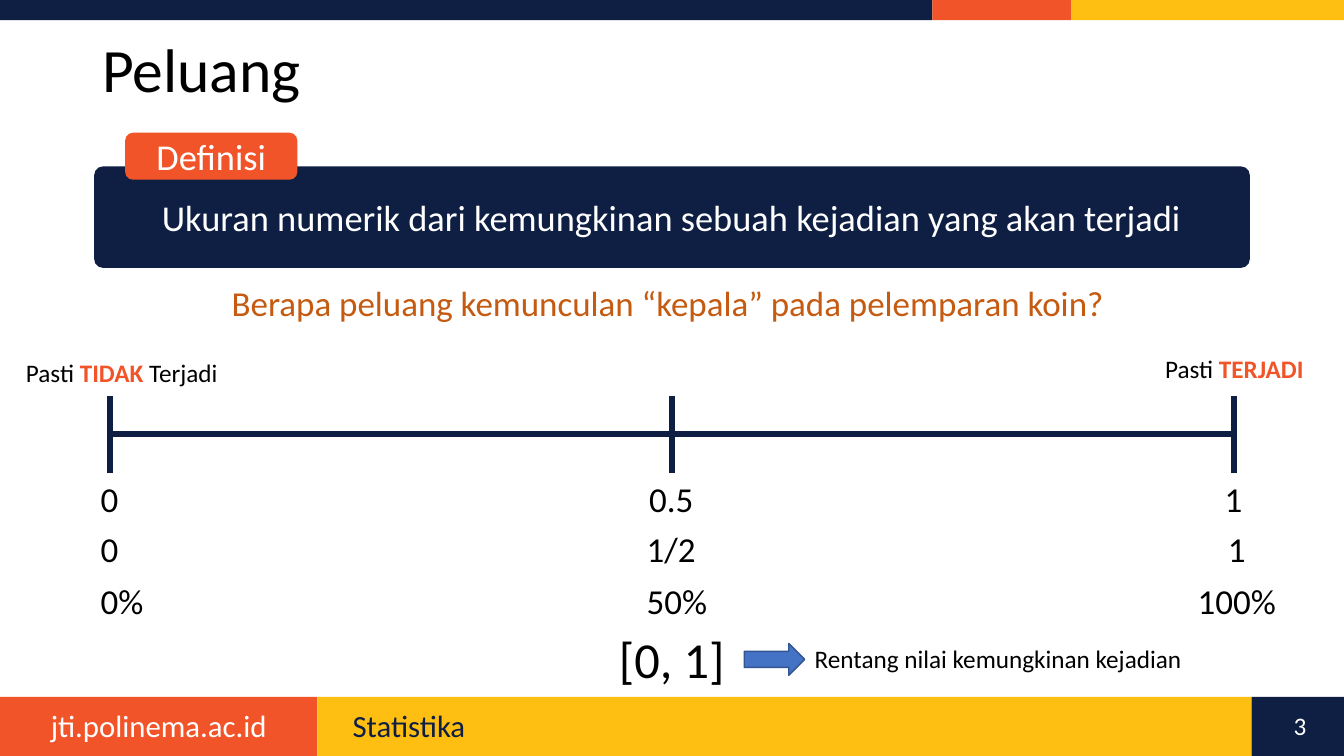
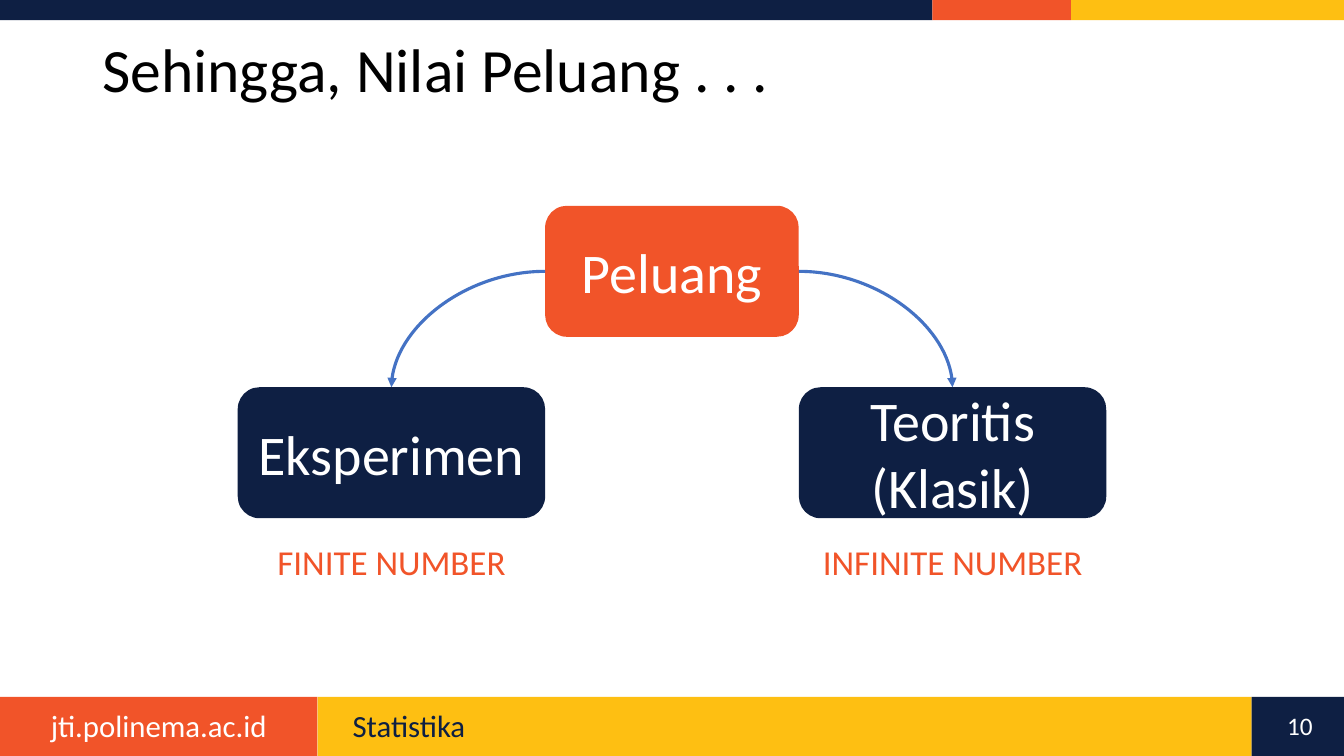
from dataclasses import dataclass
from typing import NamedTuple

from lxml.etree import SubElement
from pptx import Presentation
from pptx.dml.color import RGBColor
from pptx.enum.shapes import MSO_CONNECTOR, MSO_SHAPE
from pptx.enum.text import MSO_ANCHOR, PP_ALIGN
from pptx.oxml.ns import qn
from pptx.shapes.autoshape import Shape
from pptx.shapes.connector import Connector
from pptx.slide import Slide
from pptx.util import Emu, Inches, Pt

COLUMNS, ROWS = 160, 90
CELL = Inches(7.5) / ROWS


@dataclass(frozen=True)
class Theme:
    font: str = "Calibri"
    navy: str = "0E1F43"
    orange: str = "F15429"
    yellow: str = "FEBF12"
    rust: str = "C55A11"
    blue: str = "4472C4"
    blue_edge: str = "325491"
    black: str = "000000"
    white: str = "FFFFFF"
    title: float = 44
    node: float = 40
    interval: float = 36
    definition: float = 26
    label: float = 25
    footer: float = 22
    note: float = 18


class Frame(NamedTuple):
    column: float
    row: float
    columns: float
    rows: float


class Span(NamedTuple):
    text: str
    color: str
    bold: bool = False


class ScaleLabel(NamedTuple):
    text: str
    column: float
    columns: float


class Branch(NamedTuple):
    text: str
    caption: str
    column: float
    root_side: int


THEME = Theme()
BAND_EDGES = (0, 111, 127.5, COLUMNS)
BAND_COLORS = (THEME.navy, THEME.orange, THEME.yellow)
FOOTER_EDGES = (0, 37.8, 149, COLUMNS)
FOOTER_COLORS = (THEME.orange, THEME.yellow, THEME.navy)

TICKS = (13.1, 80, 146.9)
TICK_TOP, TICK_BOTTOM = 47.1, 56.3
SCALE_ROWS = {
    56.3: (ScaleLabel("0", 10.8, 4.6), ScaleLabel("0.5", 76.1, 7.7), ScaleLabel("1", 144.6, 4.6)),
    62.2: (ScaleLabel("0", 10.8, 4.6), ScaleLabel("1/2", 75.8, 8.3), ScaleLabel("1", 145, 4.6)),
    68.4: (ScaleLabel("0%", 10.8, 7.6), ScaleLabel("50%", 75.8, 9.7), ScaleLabel("100%", 141.4, 11.8)),
}

NODE_ROWS = 15.6
BRANCH_COLUMNS = 36.6
ROOT = Frame(64.9, 24.5, 30.2, NODE_ROWS)
BRANCHES = (
    Branch("Eksperimen", "FINITE NUMBER", ROOT.column - BRANCH_COLUMNS, 1),
    Branch("Teoritis\n(Klasik)", "INFINITE NUMBER", ROOT.column + ROOT.columns, 3),
)


def cells(count: float) -> Emu:
    return Emu(round(count * CELL))


def place(frame: Frame) -> tuple[Emu, ...]:
    return tuple(cells(length) for length in frame)


def write(box: Shape, text: str | list[Span], *, size: float, color: str = THEME.black,
          align: PP_ALIGN = PP_ALIGN.LEFT, anchor: MSO_ANCHOR = MSO_ANCHOR.TOP,
          wrap: bool = True, spacing: float = 1.0) -> None:
    frame = box.text_frame
    frame.word_wrap = wrap
    frame.vertical_anchor = anchor
    lines = [[Span(line, color)] for line in text.split("\n")] if isinstance(text, str) else [text]
    for index, spans in enumerate(lines):
        para = frame.paragraphs[0] if index == 0 else frame.add_paragraph()
        para.alignment = align
        para.line_spacing = spacing
        for span in spans:
            run = para.add_run()
            run.text = span.text
            run.font.name = THEME.font
            run.font.size = Pt(size)
            run.font.bold = span.bold
            run.font.color.rgb = RGBColor.from_string(span.color)


def add_text(page: Slide, frame: Frame, text: str | list[Span], **style) -> None:
    write(page.shapes.add_textbox(*place(frame)), text, **style)


def add_block(page: Slide, frame: Frame, fill: str, kind: MSO_SHAPE = MSO_SHAPE.RECTANGLE) -> Shape:
    block = page.shapes.add_shape(kind, *place(frame))
    block.shadow.inherit = False
    block.fill.solid()
    block.fill.fore_color.rgb = RGBColor.from_string(fill)
    block.line.fill.background()
    return block


def add_card(page: Slide, frame: Frame, fill: str, text: str, size: float) -> Shape:
    card = add_block(page, frame, fill, MSO_SHAPE.ROUNDED_RECTANGLE)
    write(card, text, size=size, color=THEME.white, align=PP_ALIGN.CENTER, anchor=MSO_ANCHOR.MIDDLE)
    return card


def add_line(page: Slide, start: tuple[float, float], end: tuple[float, float], color: str,
             width: float, kind: MSO_CONNECTOR = MSO_CONNECTOR.STRAIGHT) -> Connector:
    line = page.shapes.add_connector(kind, *(cells(value) for value in (*start, *end)))
    line.line.color.rgb = RGBColor.from_string(color)
    line.line.width = Pt(width)
    SubElement(line.element.spPr, qn("a:effectLst"))
    return line


def add_strip(page: Slide, edges: tuple[float, ...], colors: tuple[str, ...], row: float, rows: float) -> None:
    for left, right, color in zip(edges, edges[1:], colors):
        add_block(page, Frame(left, row, right - left, rows), color)


def add_page(deck: Presentation, title: str, number: int) -> Slide:
    page = deck.slides.add_slide(deck.slide_layouts[6])
    add_strip(page, BAND_EDGES, BAND_COLORS, 0, 2.4)
    add_strip(page, FOOTER_EDGES, FOOTER_COLORS, 82.95, 7.05)
    add_text(page, Frame(0, 83.6, 37.8, 5.6), "jti.polinema.ac.id", size=THEME.footer,
             color=THEME.white, align=PP_ALIGN.CENTER)
    add_text(page, Frame(40.8, 84, 104.9, 4.8), "Statistika", size=THEME.footer,
             color=THEME.navy, spacing=0.9)
    add_text(page, Frame(11, 4.8, 122.9, 7.6), title, size=THEME.title,
             anchor=MSO_ANCHOR.MIDDLE, spacing=0.9)
    add_text(page, Frame(151.1, 84, 7.3, 4.8), str(number), size=THEME.note,
             color=THEME.white, align=PP_ALIGN.CENTER)
    return page


def draw_scale(page: Slide) -> None:
    middle = (TICK_TOP + TICK_BOTTOM) / 2
    add_line(page, (TICKS[0], middle), (TICKS[-1], middle), THEME.navy, 4.5)
    for tick in TICKS:
        add_line(page, (tick, TICK_TOP), (tick, TICK_BOTTOM), THEME.navy, 4.5)
    for row, labels in SCALE_ROWS.items():
        for label in labels:
            add_text(page, Frame(label.column, row, label.columns, 6.2), label.text,
                     size=THEME.label, wrap=False)


def build_definition(deck: Presentation) -> None:
    page = add_page(deck, "Peluang", 3)
    card = add_card(page, Frame(11.2, 19.8, 137.6, 12.1), THEME.navy,
                    "Ukuran numerik dari kemungkinan sebuah kejadian yang akan terjadi", THEME.definition)
    card.adjustments[0] = 0.09
    add_card(page, Frame(14.9, 15.8, 20.5, 5.6), THEME.orange, "Definisi", THEME.definition)
    add_text(page, Frame(26.4, 32.9, 107.5, 6.2),
             "Berapa peluang kemunculan “kepala” pada pelemparan koin?",
             size=THEME.label, color=THEME.rust, wrap=False)
    draw_scale(page)
    never = [Span("Pasti ", THEME.black), Span("TIDAK ", THEME.orange, True), Span("Terjadi", THEME.black)]
    always = [Span("Pasti ", THEME.black), Span("TERJADI", THEME.orange, True)]
    for frame, spans in ((Frame(1.8, 41.9, 25.4, 4.8), never), (Frame(137.4, 41.5, 19.1, 4.8), always)):
        add_text(page, frame, spans, size=THEME.note, align=PP_ALIGN.CENTER, wrap=False)
    add_text(page, Frame(72.5, 74.2, 15.1, 8.5), "[0, 1]", size=THEME.interval, wrap=False)
    arrow = add_block(page, Frame(88.6, 76.6, 7.2, 3.8), THEME.blue, MSO_SHAPE.RIGHT_ARROW)
    arrow.line.color.rgb = RGBColor.from_string(THEME.blue_edge)
    arrow.line.width = Pt(1)
    add_text(page, Frame(95.8, 76, 46.6, 4.8), "Rentang nilai kemungkinan kejadian",
             size=THEME.note, wrap=False)


def add_curve(page: Slide, root: Shape, child: Shape, root_side: int) -> None:
    curve = add_line(page, (0, 0), (1, 1), THEME.blue, 2.25, MSO_CONNECTOR.CURVE)
    curve.begin_connect(root, root_side)
    curve.end_connect(child, 0)
    curve.element.spPr.find(qn("a:prstGeom")).set("prst", "curvedConnector2")
    SubElement(curve.line._get_or_add_ln(), qn("a:tailEnd"), type="triangle")


def build_branches(deck: Presentation) -> None:
    page = add_page(deck, "Sehingga, Nilai Peluang . . .", 10)
    root = add_card(page, ROOT, THEME.orange, "Peluang", THEME.node)
    for branch in BRANCHES:
        frame = Frame(branch.column, 46.1, BRANCH_COLUMNS, NODE_ROWS)
        child = add_card(page, frame, THEME.navy, branch.text, THEME.node)
        add_curve(page, root, child, branch.root_side)
        add_text(page, frame._replace(row=63.8, rows=6.2), branch.caption, size=THEME.label,
                 color=THEME.orange, align=PP_ALIGN.CENTER)


def main() -> None:
    deck = Presentation()
    deck.slide_width, deck.slide_height = cells(COLUMNS), cells(ROWS)
    build_definition(deck)
    build_branches(deck)
    deck.save("out.pptx")


if __name__ == "__main__":
    main()
